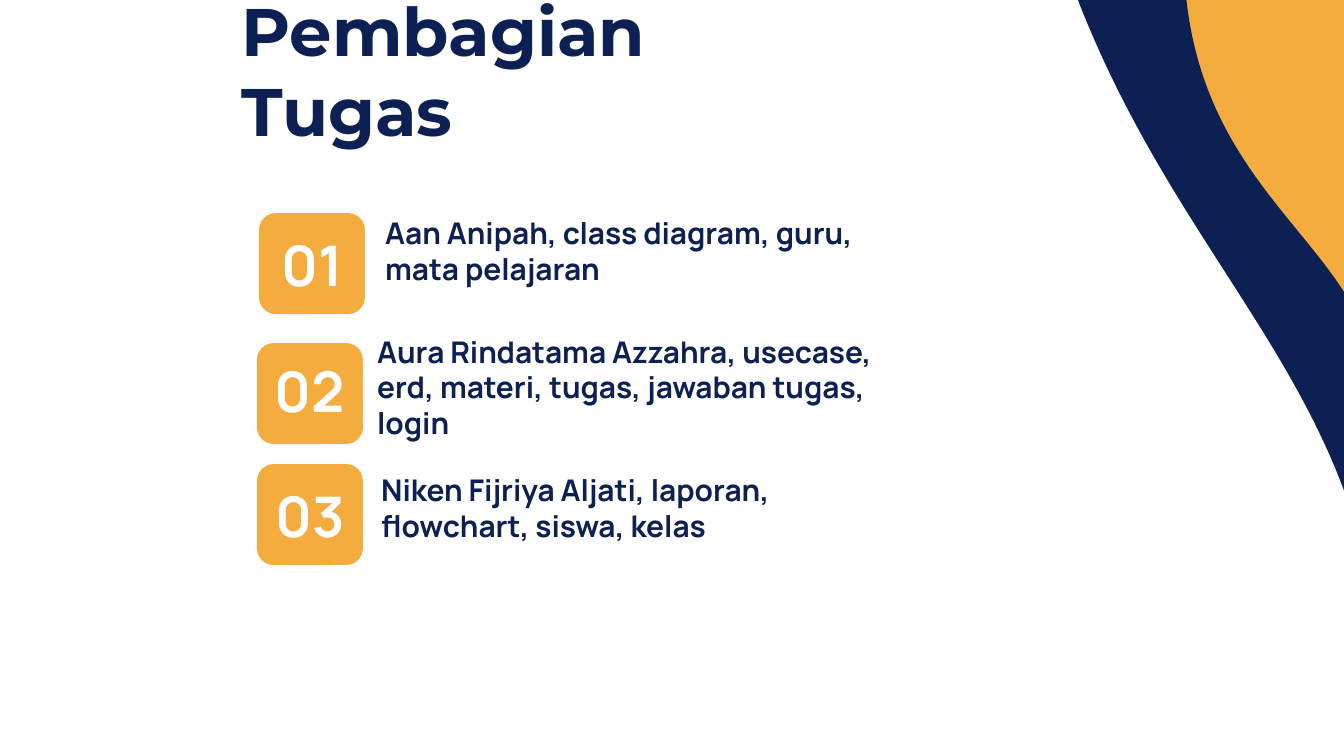
import pptx
import pptx.util
from pptx.dml.color import RGBColor
from pptx.enum.shapes import MSO_SHAPE
from pptx.enum.text import MSO_ANCHOR, MSO_AUTO_SIZE, PP_ALIGN

PX = 6804  # EMU per px, at 134.4 px to the inch
NAVY = RGBColor(0x0C, 0x20, 0x54)
ORANGE = RGBColor(0xF3, 0xAC, 0x3D)
WHITE = RGBColor(0xFF, 0xFF, 0xFF)

# number, badge left and top, number box (left, top, width), task box, task
TASKS = [
    ("01", 259, 213, (257, 225, 110), (372, 245, 523, 11),
     "Aan Anipah, class diagram, guru, mata pelajaran"),
    ("02", 257, 343, (255, 351, 110), (364, 348, 531, 78),
     "Aura Rindatama Azzahra, usecase, erd, materi, tugas, jawaban tugas, login"),
    ("03", 257, 464, (257, 476, 106), (368, 469, 523, 78),
     "Niken Fijriya Aljati, laporan, flowchart, siswa, kelas"),
]


def px(*values):
    return [pptx.util.Emu(v * PX) for v in values]


def add_block(s, kind, box, color, rotation=0):
    sp = s.shapes.add_shape(kind, *px(*box))
    sp.rotation = rotation
    sp.shadow.inherit = False
    sp.fill.solid()
    sp.fill.fore_color.rgb = color
    sp.line.fill.background()
    return sp


def write(sp, text, font, size, color, align=PP_ALIGN.LEFT, spacing=None):
    tf = sp.text_frame
    tf.word_wrap = True
    tf.auto_size = MSO_AUTO_SIZE.NONE
    tf.vertical_anchor = MSO_ANCHOR.MIDDLE
    inset = pptx.util.Inches(0.1)
    tf.margin_left = tf.margin_right = tf.margin_top = tf.margin_bottom = inset
    tf.text = text
    p = tf.paragraphs[0]
    p.alignment = align
    if spacing:
        p.line_spacing = pptx.util.Pt(spacing)
    r = p.runs[0]
    r.font.name = font
    r.font.size = pptx.util.Pt(size)
    r.font.bold = True
    r.font.color.rgb = color


def add_title(s, text, box):
    sp = s.shapes.title
    sp.left, sp.top, sp.width, sp.height = px(*box)
    write(sp, text, "Montserrat", 36, NAVY)


def add_task(s, number, left, top, number_box, task_box, task):
    add_block(s, MSO_SHAPE.ROUNDED_RECTANGLE, (left, top, 106, 101), ORANGE)
    sp = s.shapes.add_textbox(*px(*number_box, 78))
    write(sp, number, "Manrope", 30, WHITE, PP_ALIGN.CENTER)
    sp = s.shapes.add_textbox(*px(*task_box))
    write(sp, task, "Manrope", 16, NAVY, spacing=19)


def main():
    prs = pptx.Presentation()
    prs.slide_width, prs.slide_height = px(1344, 756)
    s = prs.slides.add_slide(prs.slide_layouts[5])

    # Backdrop: orange, then a navy wave, then the white page
    s.background.fill.solid()
    s.background.fill.fore_color.rgb = ORANGE
    wave = MSO_SHAPE.FLOWCHART_DOCUMENT
    add_block(s, wave, (626, -184, 586, 931), NAVY, 267)
    add_block(s, wave, (-75, -368, 1361, 1535), WHITE, 264.8)

    # Move the title in front of the backdrop
    tree = s.shapes.title.element.getparent()
    tree.append(s.shapes.title.element)
    add_title(s, "Pembagian Tugas", (228, 63, 559, 13))

    # Numbered tasks
    for task in TASKS:
        add_task(s, *task)

    prs.save("out.pptx")


if __name__ == "__main__":
    main()
